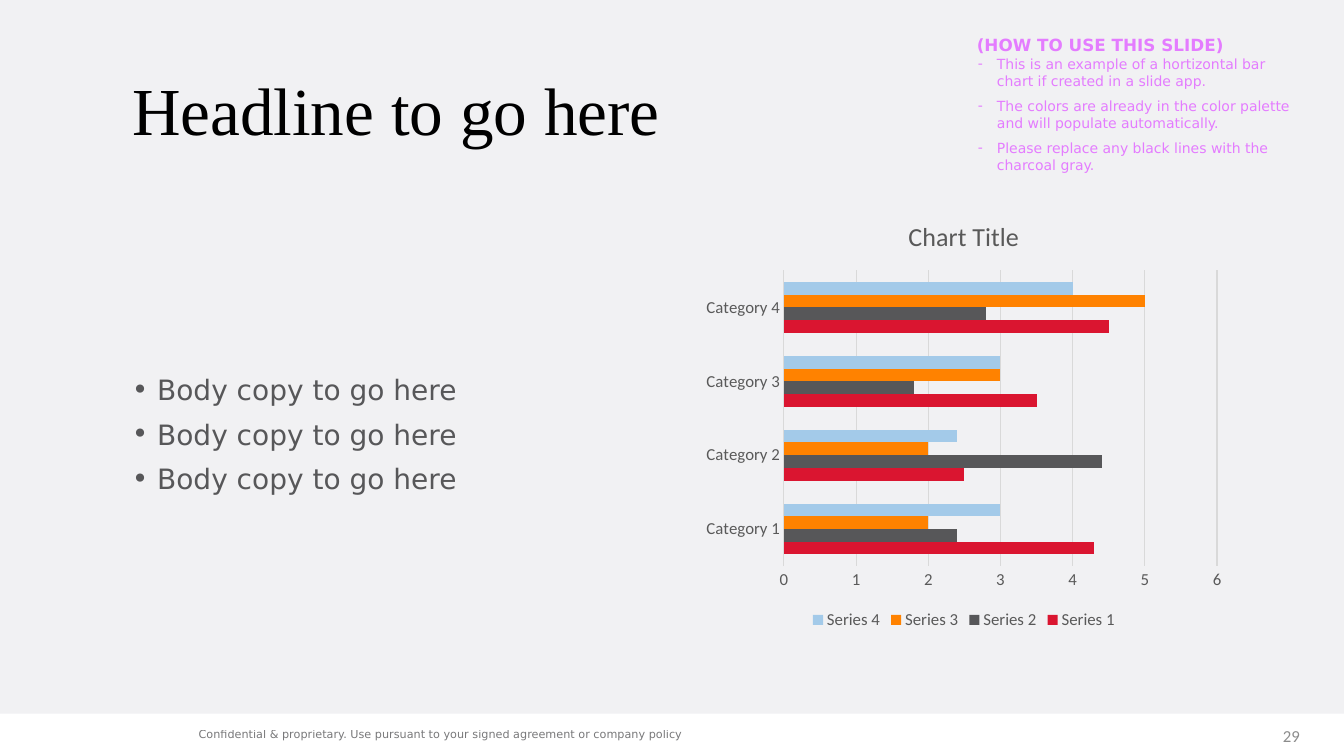
from lxml import etree
from pptx import Presentation
from pptx.chart.data import CategoryChartData
from pptx.dml.color import RGBColor
from pptx.enum.chart import XL_CHART_TYPE as ChartType, XL_LEGEND_POSITION as LegendPos
from pptx.enum.chart import XL_TICK_MARK as TickMark
from pptx.enum.shapes import MSO_SHAPE as Shape
from pptx.enum.text import MSO_ANCHOR as Anchor, MSO_AUTO_SIZE as AutoSize, PP_ALIGN as Align
from pptx.oxml.ns import qn
from pptx.util import Inches, Pt

COLORS = {
    "panel": "F1F1F3", "black": "000000", "charcoal": "575759", "page": "8C8C8C",
    "hint": "E47CFF", "chart text": "595959", "grid": "D9D9D9",
    "red": "DA1530", "orange": "FF8200", "sky": "A3CAE9",
}


def rgb(name):
    return RGBColor.from_string(COLORS[name])


def add_line(paragraph, text, size, font, color, bullet=None, indent=0, hanging=0):
    """Write one run into a paragraph, with an optional hanging bullet."""
    if bullet:
        props = paragraph._p.get_or_add_pPr()
        props.set("marL", str(Inches(indent)))
        props.set("indent", str(-Inches(hanging)))
        etree.SubElement(props, qn("a:buFont")).set("typeface", font)
        etree.SubElement(props, qn("a:buChar")).set("char", bullet)
    run = paragraph.add_run()
    run.text = text
    run.font.size, run.font.name = Pt(size), font
    run.font.color.rgb = rgb(color)
    return run


prs = Presentation()
prs.slide_width, prs.slide_height = Inches(13.33), Inches(7.5)
slide = prs.slides.add_slide(prs.slide_layouts[5])
shapes = slide.shapes

# Title, with the gray panel behind it
title = shapes.title
title.left, title.top, title.width, title.height = map(Inches, (1.21, 0.4, 11.01, 1.45))
headline = title.text_frame
headline.auto_size, headline.vertical_anchor = AutoSize.NONE, Anchor.MIDDLE
headline.paragraphs[0].alignment = Align.LEFT
headline.paragraphs[0].line_spacing = 0.9
add_line(headline.paragraphs[0], "Headline to go here", 48, "Times New Roman", "black")

panel = shapes.add_shape(Shape.RECTANGLE, 0, 0, prs.slide_width, Inches(7.08))
panel.shadow.inherit = False
panel.fill.solid()
panel.fill.fore_color.rgb = rgb("panel")
panel.line.fill.background()
title.element.addprevious(panel.element)

# Footer and page number
footer = shapes.add_textbox(*map(Inches, (1.8, 7.15, 6.98, 0.29))).text_frame
footer.word_wrap, footer.vertical_anchor = True, Anchor.MIDDLE
footer.margin_left = footer.margin_right = Inches(0.17)
footer.margin_top = footer.margin_bottom = Inches(0.09)
footer.paragraphs[0].line_spacing = 0.9
policy = add_line(
    footer.paragraphs[0],
    "Confidential & proprietary. Use pursuant to your signed agreement or company policy",
    8, "DejaVu Sans", "charcoal")
policy_color = policy._r.find(".//" + qn("a:srgbClr"))
etree.SubElement(policy_color, qn("a:alpha")).set("val", "80000")

page = shapes.add_textbox(*map(Inches, (12.4, 7.1, 0.59, 0.4))).text_frame
page.word_wrap, page.vertical_anchor = True, Anchor.MIDDLE
page.paragraphs[0].alignment = Align.RIGHT
add_line(page.paragraphs[0], "29", 12, "Calibri", "page")

# Body bullets
body = shapes.add_textbox(*map(Inches, (1.21, 2.1, 5.45, 4.45))).text_frame
body.word_wrap, body.vertical_anchor = True, Anchor.MIDDLE
for i in range(3):
    paragraph = body.add_paragraph() if i else body.paragraphs[0]
    paragraph.line_spacing = 0.9
    paragraph.space_before = Pt(10 if i else 0)
    add_line(paragraph, "Body copy to go here", 20, "DejaVu Sans", "charcoal", "•", 0.25, 0.25)

# Bar chart
chart_data = CategoryChartData()
chart_data.categories = [f"Category {n}" for n in range(1, 5)]
series_values = [
    ("red", (4.3, 2.5, 3.5, 4.5)),
    ("charcoal", (2.4, 4.4, 1.8, 2.8)),
    ("orange", (2, 2, 3, 5)),
    ("sky", (3, 2.4, 3, 4)),
]
for n, (color, values) in enumerate(series_values, 1):
    chart_data.add_series(f"Series {n}", values)
chart = shapes.add_chart(
    ChartType.BAR_CLUSTERED, *map(Inches, (6.9, 1.98, 5.32, 4.31)), chart_data).chart
chart.font.name, chart.font.size = "Calibri", Pt(12)
chart.font.color.rgb = rgb("chart text")

chart.has_title = True
add_line(chart.chart_title.text_frame.paragraphs[0], "Chart Title", 18.6, "Calibri",
         "chart text").font.bold = False
chart.has_legend = True
chart.legend.position = LegendPos.BOTTOM
chart.legend.include_in_layout = False

bars = chart.plots[0]
bars.gap_width, bars.overlap, bars.vary_by_categories = 182, 0, False
for series, (color, values) in zip(bars.series, series_values):
    series.format.fill.solid()
    series.format.fill.fore_color.rgb = rgb(color)

for axis in (chart.category_axis, chart.value_axis):
    axis.major_tick_mark = axis.minor_tick_mark = TickMark.NONE
chart.value_axis.minimum_scale, chart.value_axis.maximum_scale = 0, 6
chart.value_axis.major_unit = 1
chart.value_axis.format.line.fill.background()
for line in (chart.category_axis.format.line, chart.value_axis.major_gridlines.format.line):
    line.color.rgb = rgb("grid")
    line.width = Pt(0.75)

# Usage hints
hints = shapes.add_textbox(*map(Inches, (9.59, 0.3, 3.46, 1.48))).text_frame
hints.word_wrap = True
add_line(hints.paragraphs[0], "(HOW TO USE THIS SLIDE)", 12, "DejaVu Sans",
         "hint").font.bold = True
for hint in (
    "This is an example of a hortizontal bar chart if created in a slide app.",
    "The colors are already in the color palette and will populate automatically.",
    "Please replace any black lines with the charcoal gray.",
):
    paragraph = hints.add_paragraph()
    paragraph.space_after = Pt(6)
    add_line(paragraph, hint, 10, "DejaVu Sans", "hint", "-", 0.2, 0.19)

prs.save("out.pptx")
